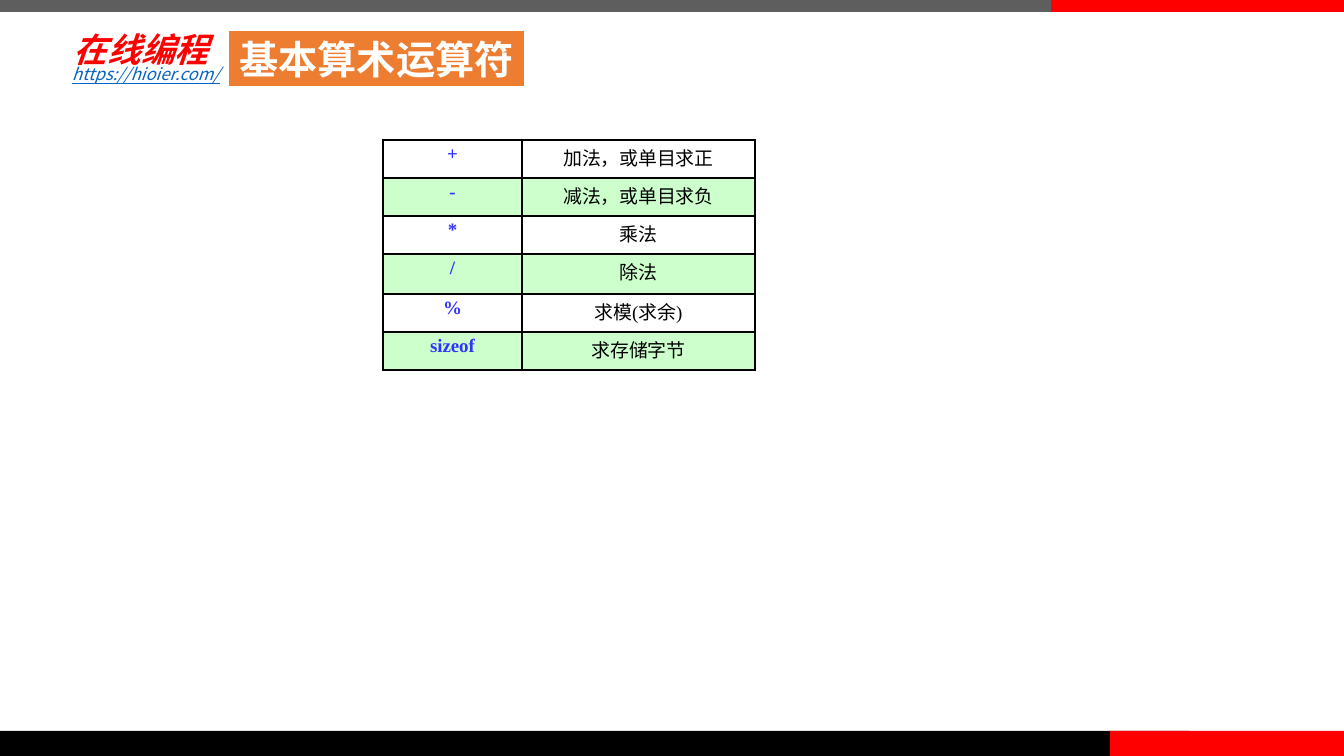
from lxml import etree
from pptx import Presentation, util as u
from pptx.dml.color import RGBColor
from pptx.enum import shapes, text
from pptx.oxml.ns import qn

WIDTH, HEIGHT = 1344, 756
SCALE = 12192000 / WIDTH
SANS, SERIF = "Noto Sans CJK SC", "Times New Roman"

OPERATORS = [
    ("+", "加法，或单目求正"),
    ("-", "减法，或单目求负"),
    ("*", "乘法"),
    ("/", "除法"),
    ("%", "求模(求余)"),
    ("sizeof", "求存储字节"),
]
COLUMN_WIDTHS = [139, 233]
ROW_HEIGHTS = [38, 38, 38, 40, 38, 38]


def px(length):
    return u.Emu(round(length * SCALE))


def colour(value):
    return RGBColor.from_string(value)


def write(frame, words, size, name, ink, bold=False, italic=False,
          underline=False, align=text.PP_ALIGN.LEFT):
    paragraph = frame.paragraphs[0]
    paragraph.text = words
    paragraph.alignment = align
    font = paragraph.font
    font.size, font.bold, font.italic = u.Pt(size), bold, italic
    font.underline = underline
    font.color.rgb = colour(ink)
    font.name = name
    # East Asian typeface follows the Latin one
    latin = paragraph._p.pPr.find(qn("a:defRPr")).find(qn("a:latin"))
    east_asian = etree.Element(qn("a:ea"), typeface=SANS)
    latin.addnext(east_asian)


def set_insets(owner, horizontal, vertical):
    owner.margin_left = owner.margin_right = px(horizontal)
    owner.margin_top = owner.margin_bottom = px(vertical)


def add_box(slide, left, top, width, height, fill):
    shape = slide.shapes.add_shape(shapes.MSO_SHAPE.RECTANGLE, px(left), px(top),
                                   px(width), px(height))
    shape.shadow.inherit = False
    shape.fill.solid()
    shape.fill.fore_color.rgb = colour(fill)
    shape.line.fill.background()
    return shape


def add_label(slide, left, top, width, height, inset, anchor):
    frame = slide.shapes.add_textbox(px(left), px(top), px(width), px(height)).text_frame
    frame.word_wrap = True
    frame.vertical_anchor = anchor
    set_insets(frame, *inset)
    return frame


def add_edge_bars(slide, width, height):
    # Top and bottom bars, each ending in red at the right
    bottom = height - 25
    add_box(slide, 0, 0, 1090, 12, "5E5E5E")
    add_box(slide, 0, bottom, 1189, 25, "000000")
    add_box(slide, 1110, bottom, width - 1110, 25, "FF0000")
    add_box(slide, 1051, 0, width - 1051, 12, "FF0000")


def add_header(slide, left, top):
    # Site name and address
    name = add_label(slide, left + 6, top, 186, 52, (6, 6), text.MSO_ANCHOR.MIDDLE)
    write(name, "在线编程", 24, "Lato", "FF0000", bold=True, italic=True)
    address = add_label(slide, left, top + 36, 672, 30, (10, 5), text.MSO_ANCHOR.TOP)
    write(address, "https://hioier.com/", 12, SANS, "0563C1", italic=True, underline=True)

    # Slide title
    title = add_box(slide, left + 166, top + 7, 297, 57, "ED7D31")
    title.line.color.rgb = colour("FFFFFF")
    title.line.width = u.Pt(1.5)
    frame = title.text_frame
    frame.word_wrap = False
    frame.vertical_anchor = text.MSO_ANCHOR.MIDDLE
    set_insets(frame, 10, 5)
    write(frame, "基本算术运算符", 28, SANS, "FFFFFF", bold=True, align=text.PP_ALIGN.CENTER)


def set_borders(cell, widths):
    properties = cell._tc.get_or_add_tcPr()
    for index, (side, points) in enumerate(widths.items()):
        line = etree.Element(qn("a:ln" + side), w=str(u.Pt(points)))
        fill = etree.SubElement(line, qn("a:solidFill"))
        etree.SubElement(fill, qn("a:srgbClr"), val="000000")
        properties.insert(index, line)


def add_operator_table(slide, left, top):
    frame = slide.shapes.add_table(len(OPERATORS), len(COLUMN_WIDTHS), px(left), px(top),
                                   px(sum(COLUMN_WIDTHS)), px(sum(ROW_HEIGHTS)))
    table = frame.table
    table.first_row = table.horz_banding = False
    for column, width in zip(table.columns, COLUMN_WIDTHS):
        column.width = px(width)
    for row, height in zip(table.rows, ROW_HEIGHTS):
        row.height = px(height)

    for row, entries in enumerate(OPERATORS):
        for column, words in enumerate(entries):
            is_operator = column == 0
            cell = table.cell(row, column)
            set_insets(cell, 8, 4)
            cell.fill.solid()
            cell.fill.fore_color.rgb = colour("CCFFCC" if row % 2 else "FFFFFF")
            set_borders(cell, {"L": 1.5 if is_operator else 1,
                               "R": 1 if is_operator else 1.5, "T": 1.5, "B": 1.5})
            write(cell.text_frame, words, 13.5, SERIF,
                  "3333FF" if is_operator else "000000",
                  bold=is_operator, align=text.PP_ALIGN.CENTER)


def main():
    presentation = Presentation()
    presentation.slide_width, presentation.slide_height = px(WIDTH), px(HEIGHT)
    slide = presentation.slides.add_slide(presentation.slide_layouts[6])
    add_edge_bars(slide, WIDTH, HEIGHT)
    add_header(slide, 62, 23)
    add_operator_table(slide, 383, 140)
    presentation.save("out.pptx")


if __name__ == "__main__":
    main()
